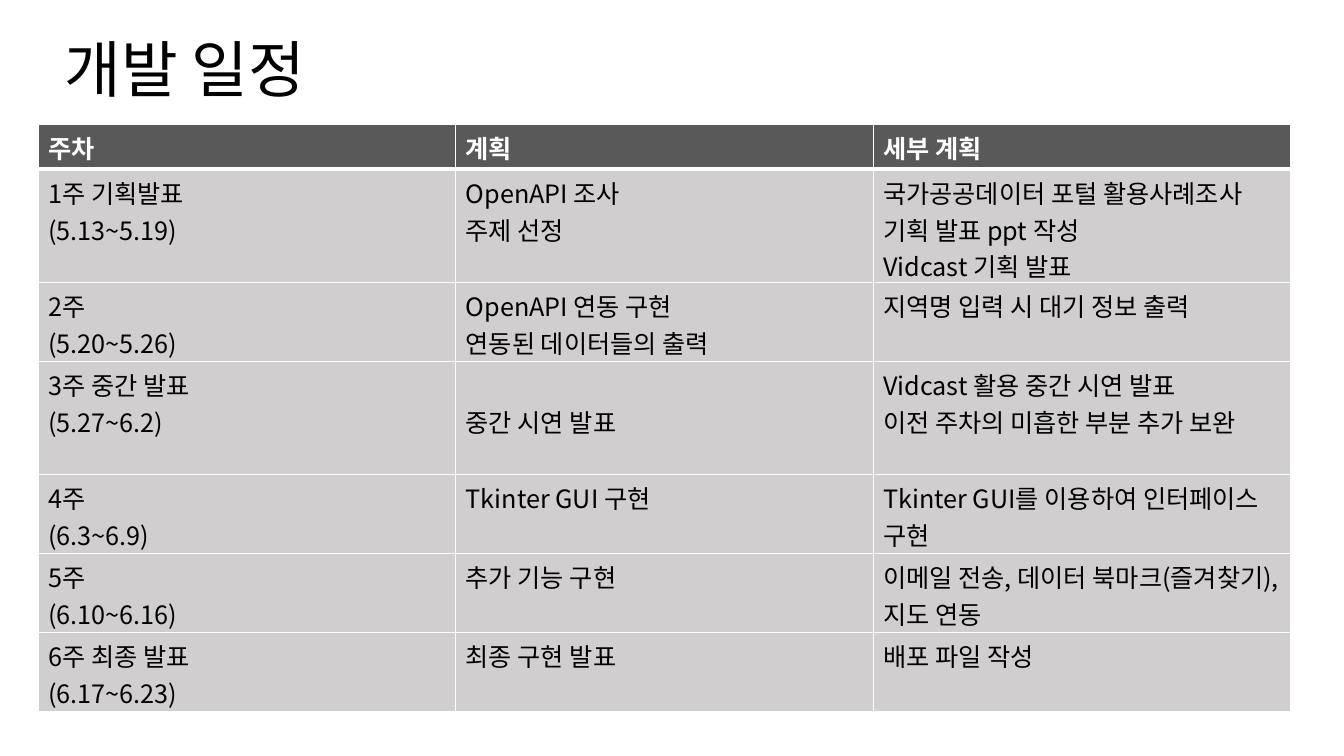
from lxml.etree import SubElement
from pptx import Presentation
from pptx.dml.color import RGBColor
from pptx.enum.text import MSO_ANCHOR as Anchor
from pptx.oxml.ns import qn
from pptx.util import Inches, Pt

WHITE = RGBColor(0xFF, 0xFF, 0xFF)
BLACK = RGBColor(0, 0, 0)
HEADER_GRAY = RGBColor(0x59, 0x59, 0x59)
BODY_GRAY = RGBColor(0xD0, 0xCE, 0xCE)

FIRST_LINE, NEXT_LINE = 6, 4.47
INDENTED_CELL = (3, 1)

SCHEDULE = [
    (1, ["주차"], ["계획"], ["세부 계획"]),
    (3, ["1주 기획발표", "(5.13~5.19)"],
     ["OpenAPI 조사", "주제 선정"],
     ["국가공공데이터 포털 활용사례조사", "기획 발표 ppt 작성", "Vidcast 기획 발표"]),
    (2, ["2주", "(5.20~5.26)"],
     ["OpenAPI 연동 구현", "연동된 데이터들의 출력"],
     ["지역명 입력 시 대기 정보 출력"]),
    (3, ["3주 중간 발표", "(5.27~6.2)"],
     ["중간 시연 발표"],
     ["Vidcast 활용 중간 시연 발표", "이전 주차의 미흡한 부분 추가 보완"]),
    (2, ["4주", "(6.3~6.9)"],
     ["Tkinter GUI 구현"],
     ["Tkinter GUI를 이용하여 인터페이스 구현"]),
    (2, ["5주", "(6.10~6.16)"],
     ["추가 기능 구현"],
     ["이메일 전송, 데이터 북마크(즐겨찾기), 지도 연동"]),
    (2, ["6주 최종 발표", "(6.17~6.23)"],
     ["최종 구현 발표"],
     ["배포 파일 작성"]),
]


class Deck:
    font = "Noto Sans CJK KR"
    title_size = 44
    body_size = 18

    def __init__(self, width, height):
        self.deck = Presentation()
        self.deck.slide_width = Inches(width)
        self.deck.slide_height = Inches(height)
        self.slide = self.deck.slides.add_slide(self.deck.slide_layouts[6])

    def across(self, percent):
        return round(self.deck.slide_width * percent / 100)

    def down(self, percent):
        return round(self.deck.slide_height * percent / 100)

    def add_lines(self, frame, lines, size, color, bold=False, spacing=1.0):
        frame.word_wrap = True
        for index, line in enumerate(lines):
            paragraph = frame.add_paragraph() if index else frame.paragraphs[0]
            paragraph.line_spacing = spacing
            run = paragraph.add_run()
            run.text = line
            run.font.size = Pt(size)
            run.font.bold = bold
            run.font.color.rgb = color
            run.font.name = self.font
            SubElement(run.font._element, qn("a:ea"), typeface=self.font)

    def title(self, text, left, top, width, height):
        frame = self.slide.shapes.add_textbox(
            self.across(left), self.down(top), self.across(width), self.down(height)
        ).text_frame
        frame.vertical_anchor = Anchor.MIDDLE
        self.add_lines(frame, [text], self.title_size, BLACK, spacing=0.9)

    def borders(self, cell, top, bottom):
        properties = cell._tc.get_or_add_tcPr()
        edges = {"a:lnL": 1, "a:lnR": 1, "a:lnT": top, "a:lnB": bottom}
        for place, (edge, points) in enumerate(edges.items()):
            line = SubElement(properties, qn(edge), w=str(Pt(points)))
            fill = SubElement(line, qn("a:solidFill"))
            SubElement(fill, qn("a:srgbClr"), val=str(WHITE))
            properties.insert(place, line)

    def table(self, rows, left, top, width):
        heights = [FIRST_LINE + NEXT_LINE * (lines - 1) for lines, *_ in rows]
        columns = len(rows[0]) - 1
        grid = self.slide.shapes.add_table(
            len(rows), columns, self.across(left), self.down(top),
            self.across(width), self.down(sum(heights))
        ).table
        for row, (_, *entries) in enumerate(rows):
            grid.rows[row].height = self.down(heights[row])
            header = row == 0
            for column, lines in enumerate(entries):
                cell = grid.cell(row, column)
                cell.fill.solid()
                cell.fill.fore_color.rgb = HEADER_GRAY if header else BODY_GRAY
                self.borders(cell, 3 if row == 1 else 1, 3 if header else 1)
                self.add_lines(cell.text_frame, lines, self.body_size,
                               WHITE if header else BLACK, bold=header)
                if (row, column) == INDENTED_CELL:
                    cell.margin_top = self.down(5.5)

    def save(self):
        self.deck.save("out.pptx")


plan = Deck(13.33, 7.5)
plan.title("개발 일정", 4.05, 0, 86.27, 19.33)
plan.table(SCHEDULE, 2.85, 16.4, 93.17)
plan.save()
